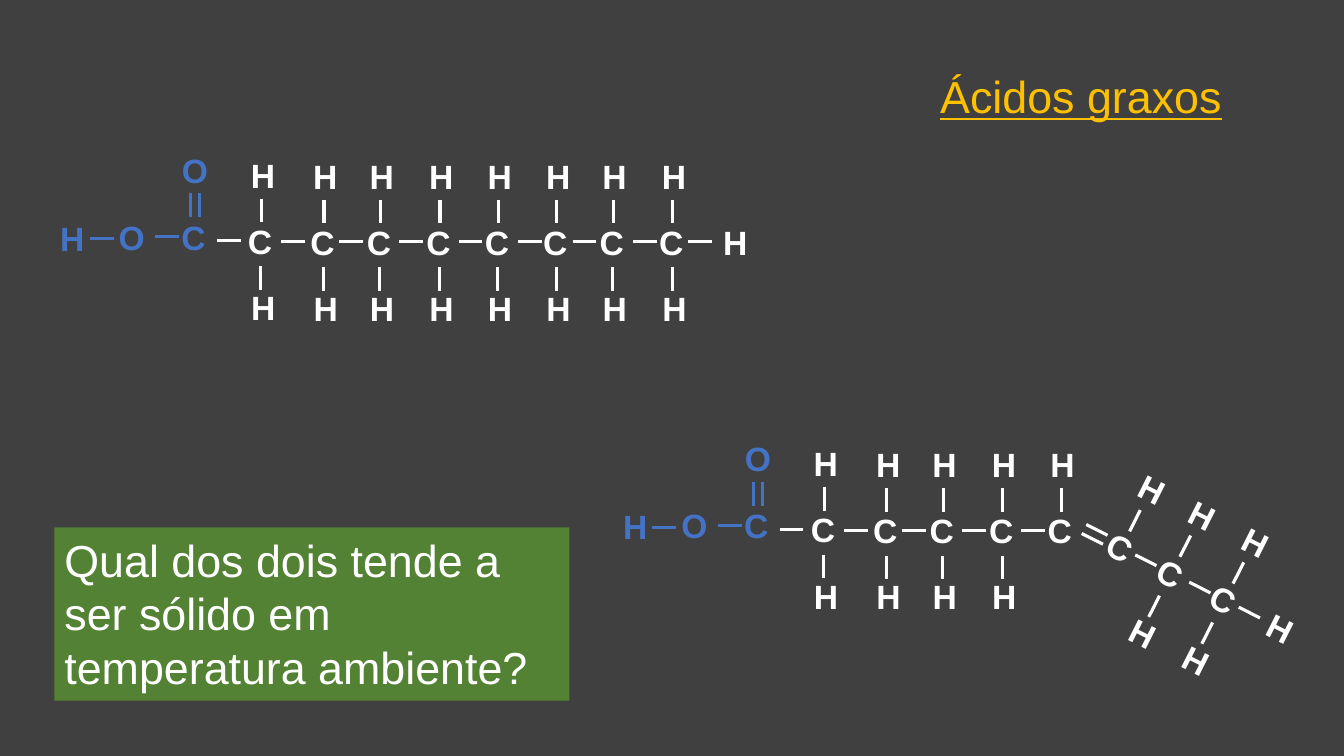
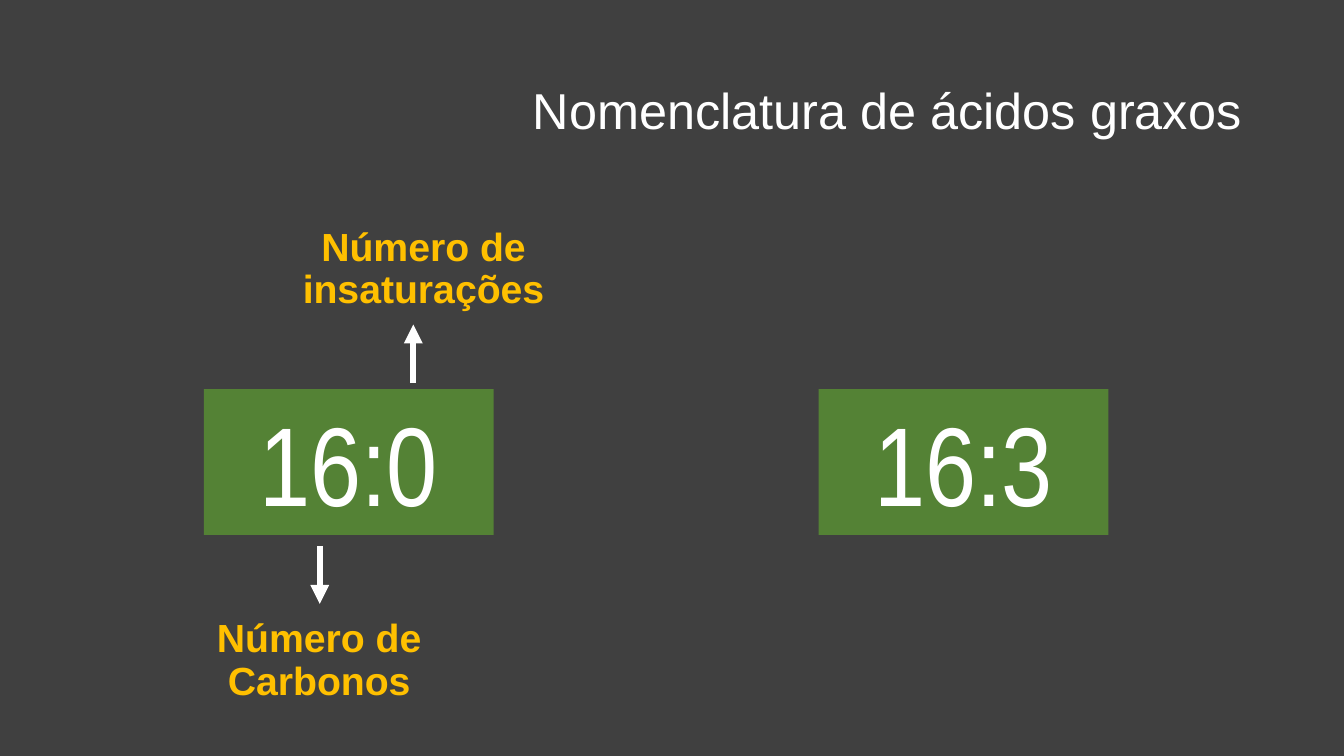
from math import cos, radians, sin

from lxml import etree
from pptx import Presentation
from pptx.dml.color import RGBColor
from pptx.enum.shapes import MSO_CONNECTOR, MSO_SHAPE
from pptx.enum.text import MSO_ANCHOR, MSO_AUTO_SIZE, PP_ALIGN
from pptx.oxml.ns import qn
from pptx.util import Pt

STRAIGHT, RECT = MSO_CONNECTOR.STRAIGHT, MSO_SHAPE.RECTANGLE
LEFT, CENTER, RIGHT = PP_ALIGN.LEFT, PP_ALIGN.CENTER, PP_ALIGN.RIGHT
TOP, MIDDLE = MSO_ANCHOR.TOP, MSO_ANCHOR.MIDDLE
GROW, NO_FIT = MSO_AUTO_SIZE.SHAPE_TO_FIT_TEXT, MSO_AUTO_SIZE.NONE

GRAY, WHITE, BLUE, GOLD, GREEN = "404040", "FFFFFF", "4472C4", "FFC000", "548235"

# Molecule content: all coordinates are those of the straight chain
ATOM_WIDTH = {"H": 28.1, "C": 37.4, "O": 36.7}
ATOM_HEIGHT = 36
BOND = 17
ACID_ATOMS = [("H", 50, 169.9), ("O", 94, 169.2),
              ("C", 138.2, 169.2), ("O", 139.3, 121.7)]
ACID_BONDS = [(64.1, 170.6, 81.1, 170.6), (110.9, 169.2, 127.9, 169.2),
              (136.1, 138.2, 136.1, 155.2), (142.6, 138.2, 142.6, 155.2)]
CHAIN_Y = 172.8
# Carbon centre, start of the bond on its left
CARBONS = [(185.8, 154.9), (230.4, 201), (270.7, 242.5), (313.2, 285.1),
           (355, 327.6), (396.7, 370), (437, 409), (479.5, 452.2)]
END_BOND_X, END_H_X = 491.8, 523.4

# Straight chain, its shifted first part, and the bent tail
STRAIGHT_CHAIN = ((0, 0), (0, 0), 0)
SHIFTED = ((0, 0), (402, 205.9), 0)
BENT = ((437, CHAIN_Y), (835.9, 409), 26.8)

# Nomenclature content
RATIOS = [("16:0", 145.6), ("16:3", 584.8)]
LABELS = [("Número de Carbonos", (116, 438.5, 224, 85)),
          ("Número de insaturações", (187, 159, 231, 80.6))]
ARROWS = [(228.4, 390.2, 228.4, 431.3), (295.2, 273.6, 295.2, 231.8)]


def rgb(color):
    return RGBColor.from_string(color)


def write(s, text, size=24, color=WHITE, bold=False, underline=False, font="Arial",
          align=CENTER, anchor=TOP, fit=NO_FIT, spacing=None, before=None):
    tf = s.text_frame
    tf.word_wrap, tf.auto_size, tf.vertical_anchor = True, fit, anchor
    p = tf.paragraphs[0]
    p.alignment, p.line_spacing = align, spacing
    if before:
        p.space_before = Pt(before)
    r = p.add_run()
    r.text = text
    r.font.name, r.font.size, r.font.color.rgb = font, Pt(size), rgb(color)
    r.font.bold, r.font.underline = bold, underline


def text_box(slide, text, box, **style):
    s = slide.shapes.add_textbox(*map(Pt, box))
    write(s, text, **style)
    return s


def green_box(slide, text, box, **style):
    s = slide.shapes.add_shape(RECT, *map(Pt, box))
    s.shadow.inherit = False
    s.fill.solid()
    s.fill.fore_color.rgb = rgb(GREEN)
    s.line.fill.background()
    write(s, text, fit=GROW, **style)


def line(slide, ends, color=WHITE, width=2.25, arrow=False):
    c = slide.shapes.add_connector(STRAIGHT, *map(Pt, ends))
    c.line.color.rgb, c.line.width = rgb(color), Pt(width)
    if arrow:
        etree.SubElement(c.line._get_or_add_ln(), qn("a:tailEnd"), type="triangle")
    etree.SubElement(c._element.spPr, qn("a:effectLst"))


def place(x, y, pose):
    """Turn a point about the pivot and move the pivot to its target."""
    (px, py), (tx, ty), angle = pose
    a, dx, dy = radians(angle), x - px, y - py
    return tx + dx * cos(a) - dy * sin(a), ty + dx * sin(a) + dy * cos(a)


def atom(slide, symbol, x, y, pose, color=WHITE):
    cx, cy = place(x, y, pose)
    w = ATOM_WIDTH[symbol]
    s = text_box(slide, symbol, (cx - w / 2, cy - ATOM_HEIGHT / 2, w, ATOM_HEIGHT),
                 color=color, bold=True, fit=GROW)
    s.rotation = pose[2]


def bond(slide, x1, y1, x2, y2, pose, color=WHITE):
    line(slide, place(x1, y1, pose) + place(x2, y2, pose), color)


def acid_group(slide, pose):
    for ends in ACID_BONDS:
        bond(slide, *ends, pose, BLUE)
    for symbol, x, y in ACID_ATOMS:
        atom(slide, symbol, x, y, pose, BLUE)


def carbon(slide, x, bond_x, pose, lower_h=True, double=False):
    y = CHAIN_Y - 0.7 if x == CARBONS[0][0] else CHAIN_Y
    for dx, dy in [(-2, -3.6), (-2, 3.6)] if double else [(0, 0)]:
        bond(slide, bond_x + dx, y + dy, bond_x + dx + BOND, y + dy, pose)
    atom(slide, "C", x, y, pose)
    bond(slide, x + 1.1, y - 30.2, x + 1.1, y - 13.2, pose)
    atom(slide, "H", x + 0.3, y - 47.2, pose)
    if lower_h:
        bond(slide, x + 0.6, y + 18.2, x + 0.6, y + 35.2, pose)
        atom(slide, "H", x + 0.5, y + 47.5, pose)


def chain_end(slide, pose):
    bond(slide, END_BOND_X, CHAIN_Y, END_BOND_X + BOND, CHAIN_Y, pose)
    atom(slide, "H", END_H_X, CHAIN_Y, pose)


def fatty_acids(slide):
    # Saturated acid
    acid_group(slide, STRAIGHT_CHAIN)
    for x, bond_x in CARBONS:
        carbon(slide, x, bond_x, STRAIGHT_CHAIN)
    chain_end(slide, STRAIGHT_CHAIN)

    # Unsaturated acid, bent at the double bond between carbons 4 and 5
    acid_group(slide, SHIFTED)
    for i, (x, bond_x) in enumerate(CARBONS):
        carbon(slide, x, bond_x, SHIFTED if i < 5 else BENT,
               lower_h=i not in (4, 5), double=i == 5)
    chain_end(slide, BENT)

    # Title and question
    text_box(slide, "Ácidos graxos", (641.5, 38.2, 261.4, 65.5), size=32, color=GOLD,
             underline=True, anchor=MIDDLE, spacing=0.9)
    green_box(slide, "Qual dos dois tende a ser sólido em temperatura ambiente?",
              (38.9, 376.6, 367.9, 123.8), size=32, align=LEFT)


def nomenclature(slide):
    for text, x in RATIOS:
        green_box(slide, text, (x, 278, 207, 104.2), size=80, font="Arial Narrow")
    for text, box in LABELS:
        text_box(slide, text, box, size=28, color=GOLD, bold=True,
                 spacing=0.9, before=10)
    for ends in ARROWS:
        line(slide, ends, width=4.5, arrow=True)
    text_box(slide, "Nomenclatura de ácidos graxos", (66, 28.8, 828, 104.4), size=36,
             align=RIGHT, anchor=MIDDLE, spacing=0.9)


def main():
    prs = Presentation()
    prs.slide_width, prs.slide_height = Pt(960), Pt(540)
    # Shared background
    fill = prs.slide_master.background.fill
    fill.solid()
    fill.fore_color.rgb = rgb(GRAY)
    for build in (fatty_acids, nomenclature):
        build(prs.slides.add_slide(prs.slide_layouts[6]))
    prs.save("out.pptx")


if __name__ == "__main__":
    main()
